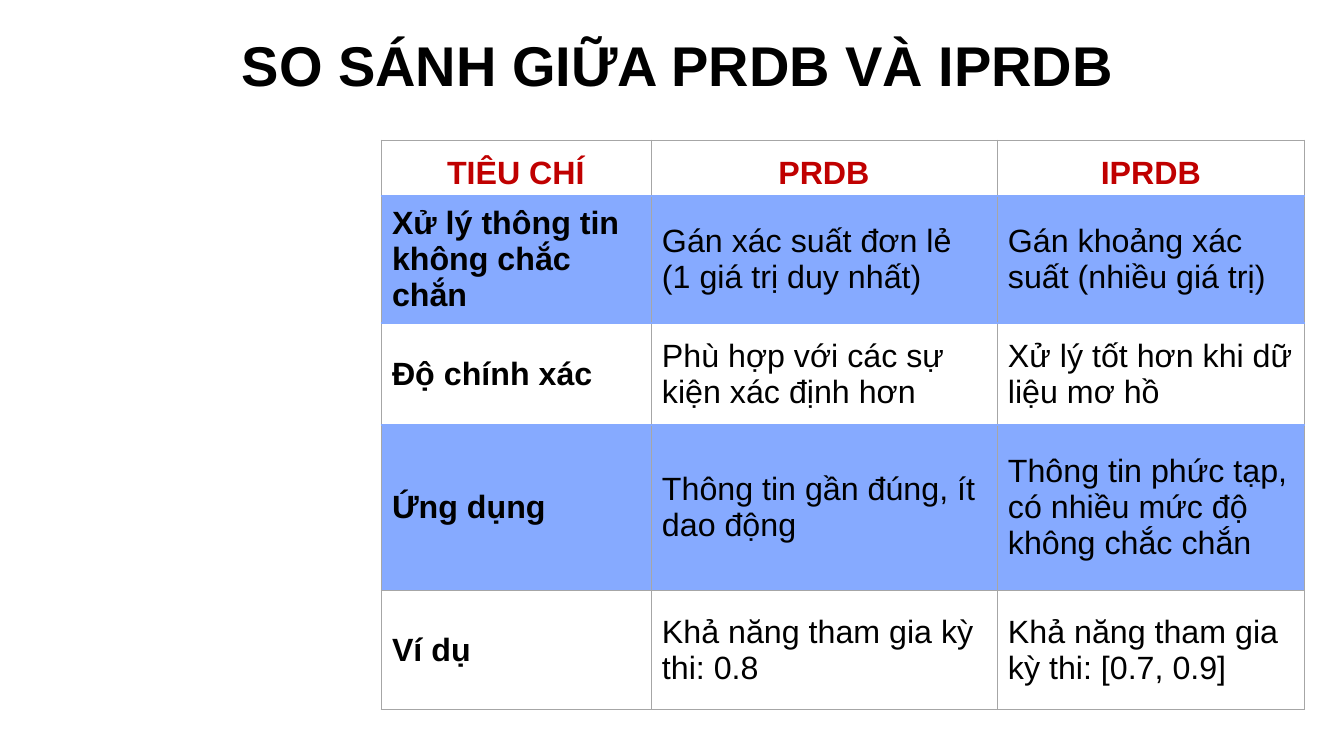
from lxml.etree import SubElement
from pptx import Presentation
from pptx.dml.color import RGBColor
from pptx.enum.text import MSO_ANCHOR, MSO_AUTO_SIZE, PP_ALIGN
from pptx.oxml.ns import qn
from pptx.util import Pt

SCALE = 12192000 / 1344
COLORS = {"ink": "000000", "header": "C00000", "blue": "86AAFF", "grid": "A6A6A6"}
COLUMN_WIDTHS = [270, 346, 308]
ROW_HEIGHTS = [56, 127, 102, 165, 120]
ROW_RULES = [("grid", 0.75), ("blue", 2), ("blue", 1), ("blue", 1), ("grid", 0.75), ("grid", 0.75)]
CRITERIA = [
    ["TIÊU CHÍ", "PRDB", "IPRDB"],
    ["Xử lý thông tin không chắc chắn", "Gán xác suất đơn lẻ (1 giá trị duy nhất)",
     "Gán khoảng xác suất (nhiều giá trị)"],
    ["Độ chính xác", "Phù hợp với các sự kiện xác định hơn", "Xử lý tốt hơn khi dữ liệu mơ hồ"],
    ["Ứng dụng", "Thông tin gần đúng, ít dao động",
     "Thông tin phức tạp, có nhiều mức độ không chắc chắn"],
    ["Ví dụ", "Khả năng tham gia kỳ thi: 0.8", "Khả năng tham gia kỳ thi: [0.7, 0.9]"],
]


def px(length):
    return round(length * SCALE)


def write_text(frame, text, size=23, color="ink", bold=False, align=PP_ALIGN.LEFT,
               line_spacing=None, space_after=None):
    para = frame.paragraphs[0]
    para.alignment = align
    para.line_spacing = line_spacing
    para.space_after = space_after
    span = para.add_run()
    span.text = text
    span.font.name = "Arial"
    span.font.size = Pt(size)
    span.font.bold = bold
    span.font.color.rgb = RGBColor.from_string(COLORS[color])


class SlideBuilder:
    def __init__(self, page):
        self.page = page

    def title(self, text, left, top, width, height):
        box = self.page.shapes.add_textbox(px(left), px(top), px(width), px(height))
        frame = box.text_frame
        frame.word_wrap = True
        frame.auto_size = MSO_AUTO_SIZE.SHAPE_TO_FIT_TEXT
        frame.vertical_anchor = MSO_ANCHOR.MIDDLE
        write_text(frame, text, size=40, bold=True, line_spacing=0.9, space_after=Pt(6))

    def border(self, cell, side, color, width):
        line = SubElement(cell._tc.get_or_add_tcPr(), qn(f"a:ln{side}"), w=str(Pt(width)))
        fill = SubElement(line, qn("a:solidFill"))
        SubElement(fill, qn("a:srgbClr"), val=COLORS[color])

    def shade(self, cell, color, opacity):
        cell.fill.solid()
        cell.fill.fore_color.rgb = RGBColor.from_string(COLORS[color])
        tint = cell._tc.tcPr.find(".//" + qn("a:srgbClr"))
        SubElement(tint, qn("a:alpha"), val=str(opacity * 1000))

    def cell(self, cell, text, row, column):
        header = row == 0
        cell.margin_left = cell.margin_right = px(11)
        cell.margin_top = cell.margin_bottom = px(5)
        cell.vertical_anchor = MSO_ANCHOR.BOTTOM if header else MSO_ANCHOR.MIDDLE
        write_text(cell.text_frame, text, color="header" if header else "ink",
                   bold=header or column == 0,
                   align=PP_ALIGN.CENTER if header else PP_ALIGN.LEFT)
        self.border(cell, "L", "grid", 0.75)
        self.border(cell, "R", "grid", 0.75)
        self.border(cell, "T", *ROW_RULES[row])
        self.border(cell, "B", *ROW_RULES[row + 1])
        if row % 2:
            self.shade(cell, "blue", 20)
        else:
            cell.fill.background()

    def table(self, rows, left, top, widths, heights):
        table = self.page.shapes.add_table(
            len(rows), len(widths), px(left), px(top), px(sum(widths)), px(sum(heights))).table
        table.first_row = False
        table.horz_banding = False
        for column, width in zip(table.columns, widths):
            column.width = px(width)
        for row, height in zip(table.rows, heights):
            row.height = px(height)
        for row, texts in enumerate(rows):
            for column, text in enumerate(texts):
                self.cell(table.cell(row, column), text, row, column)


def main():
    deck = Presentation()
    deck.slide_width, deck.slide_height = px(1344), px(756)
    page = deck.slides.add_slide(deck.slide_layouts[6])
    builder = SlideBuilder(page)
    builder.title("SO SÁNH GIỮA PRDB VÀ IPRDB", 232, 32, 1112, 72)
    builder.table(CRITERIA, 381, 140, COLUMN_WIDTHS, ROW_HEIGHTS)
    deck.save("out.pptx")


if __name__ == "__main__":
    main()
